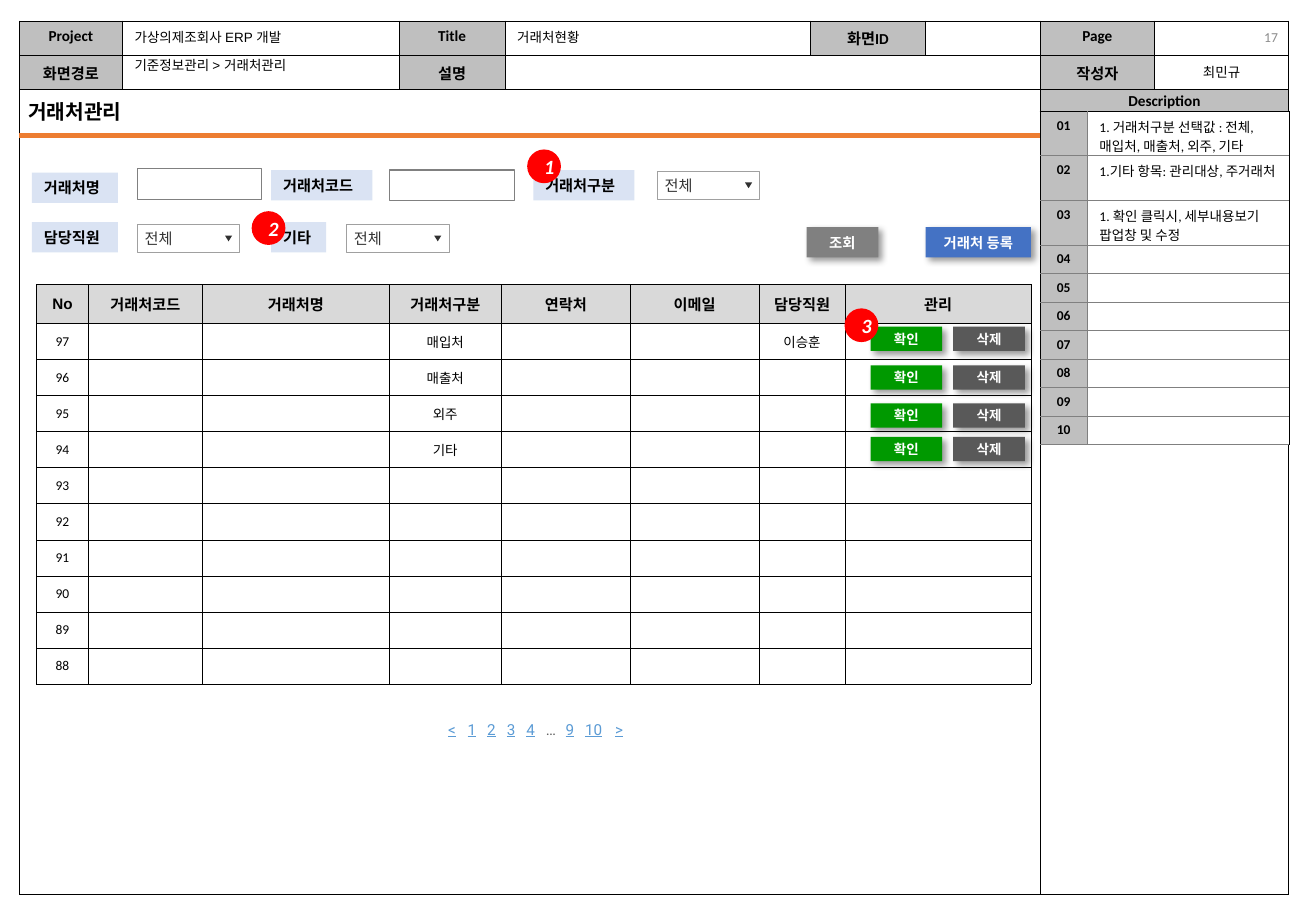
from dataclasses import dataclass, replace
from typing import NamedTuple, Optional

from lxml import etree
from pptx import Presentation
from pptx import table as tb
from pptx import util as u
from pptx.dml.color import RGBColor
from pptx.enum import shapes, text
from pptx.oxml import ns

Pt = u.Pt
BLACK, WHITE = RGBColor(0, 0, 0), RGBColor(255, 255, 255)
SILVER, HEADER_GRAY = RGBColor(0xBF, 0xBF, 0xBF), RGBColor(0xD9, 0xD9, 0xD9)
GRAY, DARK_GRAY = RGBColor(0x80, 0x80, 0x80), RGBColor(0x59, 0x59, 0x59)
PAGE_GRAY, SELECT_LINE = RGBColor(0x8C, 0x8C, 0x8C), RGBColor(0xA0, 0xA0, 0xA0)
SELECT_TEXT, ARROW = RGBColor(0x33, 0x33, 0x33), RGBColor(0x30, 0x30, 0x30)
ORANGE, RED, GREEN = RGBColor(0xED, 0x7D, 0x31), RGBColor(255, 0, 0), RGBColor(0, 0x99, 0)
LABEL_BLUE, BUTTON_BLUE = RGBColor(0xDA, 0xE3, 0xF3), RGBColor(0x44, 0x72, 0xC4)
LINK_BLUE, ELLIPSIS_GRAY = RGBColor(0x5B, 0x9B, 0xD5), RGBColor(0x5F, 0x5F, 0x5F)

LEFT, CENTER, RIGHT = text.PP_ALIGN.LEFT, text.PP_ALIGN.CENTER, text.PP_ALIGN.RIGHT
TOP, MIDDLE = text.MSO_ANCHOR.TOP, text.MSO_ANCHOR.MIDDLE
RECT, OVAL = shapes.MSO_SHAPE.RECTANGLE, shapes.MSO_SHAPE.OVAL


@dataclass(frozen=True)
class Style:
    size: float
    font: str = "Arial"
    color: RGBColor = BLACK
    bold: bool = False
    italic: bool = False
    underline: bool = False


class Box(NamedTuple):
    left: float
    top: float
    width: float
    height: float


class Item(NamedTuple):
    caption: str
    box: Box
    style: Style
    fill: Optional[RGBColor] = None


FIELD = Style(8)
HEAD = Style(9, "Calibri", bold=True)
BODY = Style(8, "Calibri")
BODY_BOLD = replace(BODY, bold=True)
LABEL = Style(9, bold=True)
ROW_BUTTON = Style(8, "Roboto", WHITE, True)
BUTTON = replace(ROW_BUTTON, size=8.5)
BADGE = Style(12, "Calibri", WHITE, True, True)
SELECT = Style(9, "Roboto", SELECT_TEXT)
LINK = Style(9, "Roboto", LINK_BLUE, underline=True)

deck = Presentation()
deck.slide_width, deck.slide_height = Pt(780), Pt(540)
slide = deck.slides.add_slide(deck.slide_layouts[6])


def add_run(paragraph, words: str, style: Style) -> None:
    run = paragraph.add_run()
    run.text = words
    font = run.font
    font.size, font.name, font.bold = Pt(style.size), style.font, style.bold
    font.italic, font.underline = style.italic, style.underline
    font.color.rgb = style.color


def write(frame, words: str, style: Style, align=LEFT, anchor=TOP, wrap: bool = False) -> None:
    frame.word_wrap, frame.vertical_anchor = wrap, anchor
    frame.paragraphs[0].alignment = align
    add_run(frame.paragraphs[0], words, style)


def add_text(item: Item, align=LEFT, anchor=TOP) -> None:
    box = slide.shapes.add_textbox(*map(Pt, item.box))
    write(box.text_frame, item.caption, item.style, align, anchor)


def add_block(box: Box, fill: RGBColor, line: Optional[RGBColor] = None, weight: float = 0.5,
              kind=RECT, parent=slide):
    block = parent.shapes.add_shape(kind, *map(Pt, box))
    block.shadow.inherit = False
    block.fill.solid()
    block.fill.fore_color.rgb = fill
    if line is None:
        block.line.fill.background()
    else:
        block.line.color.rgb, block.line.width = line, Pt(weight)
    return block


def add_button(item: Item) -> None:
    button = add_block(item.box, item.fill)
    write(button.text_frame, item.caption, item.style, CENTER, MIDDLE)
    effects = button._element.spPr.find(ns.qn("a:effectLst"))
    shadow = etree.SubElement(effects, ns.qn("a:outerShdw"), blurRad=str(Pt(4)), dist=str(Pt(3)),
                              dir="2700000", algn="tl", rotWithShape="0")
    tone = etree.SubElement(shadow, ns.qn("a:srgbClr"), val=str(BLACK))
    etree.SubElement(tone, ns.qn("a:alpha"), val="40000")


def add_select(left: float, top: float) -> None:
    group = slide.shapes.add_group_shape()
    field = add_block(Box(left, top, 60.8, 16.8), WHITE, SELECT_LINE, parent=group)
    frame = field.text_frame
    write(frame, "전체", SELECT, anchor=MIDDLE, wrap=True)
    frame.margin_left, frame.margin_right = Pt(4.3), Pt(10)
    frame.margin_top = frame.margin_bottom = 0
    x, y = left + 52, top + 6.8
    outline = group.shapes.build_freeform(Pt(x), Pt(y))
    outline.add_line_segments([(Pt(x + 4.2), Pt(y)), (Pt(x + 2.1), Pt(y + 3.4))])
    arrow = outline.convert_to_shape()
    arrow.shadow.inherit = False
    arrow.fill.solid()
    arrow.fill.fore_color.rgb = ARROW
    arrow.line.fill.background()


def add_grid(left: float, top: float, widths: list[float], heights: list[float]) -> tb.Table:
    grid = slide.shapes.add_table(len(heights), len(widths), Pt(left), Pt(top),
                                  Pt(sum(widths)), Pt(sum(heights))).table
    grid.first_row = grid.horz_banding = False
    for column, width in zip(grid.columns, widths):
        column.width = Pt(width)
    for row, height in zip(grid.rows, heights):
        row.height = Pt(height)
    return grid


def set_cell(cell, words: str, style: Style, fill: Optional[RGBColor], weight: float,
             borders: tuple = (BLACK,) * 4, align=CENTER, anchor=TOP) -> None:
    """Border colours run left, right, top, bottom."""
    cell.vertical_anchor = anchor
    if fill is None:
        cell.fill.background()
    else:
        cell.fill.solid()
        cell.fill.fore_color.rgb = fill
    for i, (side, color) in enumerate(zip("LRTB", borders)):
        edge = etree.Element(ns.qn(f"a:ln{side}"), w=str(Pt(weight)))
        paint = etree.SubElement(edge, ns.qn("a:solidFill"))
        etree.SubElement(paint, ns.qn("a:srgbClr"), val=str(color))
        cell._tc.get_or_add_tcPr().insert(i, edge)
    paragraph = cell.text_frame.paragraphs[0]
    paragraph.alignment = align
    if words:
        add_run(paragraph, words, style)
    else:
        etree.SubElement(paragraph._p, ns.qn("a:endParaRPr"), sz=str(int(style.size * 100)))


# Page frame
frame_grid = add_grid(11.5, 12.5, [61, 164, 63, 181, 68, 68, 68, 79.5], [20.3, 20.3, 12.9, 464.3])
frame_words = {(0, 0): "Project", (0, 2): "Title", (0, 4): "화면ID", (0, 6): "Page",
               (1, 0): "화면경로", (1, 2): "설명", (1, 6): "작성자", (1, 7): "최민규",
               (2, 6): "Description"}
for r in range(4):
    for c in range(8):
        author = (r, c) == (1, 7)
        set_cell(frame_grid.cell(r, c), frame_words.get((r, c), ""), BODY if author else HEAD,
                 SILVER if (r, c) in frame_words and not author else None, 0.5)
for first, last in [((1, 3), (1, 5)), ((2, 0), (3, 5)), ((2, 6), (2, 7)), ((3, 6), (3, 7))]:
    frame_grid.cell(*first).merge(frame_grid.cell(*last))
for c in range(8):
    frame_grid.cell(2, c).margin_top, frame_grid.cell(2, c).margin_bottom = Pt(1.5), 0

add_text(Item("17", Box(589, 14.4, 175.7, 15.1), Style(8.1, "Calibri", PAGE_GRAY)), RIGHT, MIDDLE)
for heading in [Item("가상의제조회사 ERP 개발", Box(72.7, 13.7, 108.7, 17.3), FIELD),
                Item("기준정보관리 > 거래처관리", Box(72.7, 30.2, 115.2, 17.3), FIELD),
                Item("거래처현황", Box(299.5, 13.7, 54.7, 17.3), FIELD),
                Item("거래처관리", Box(9.7, 55.4, 74.9, 21.6), Style(12, bold=True))]:
    add_text(heading)

# Description list
notes = ["1. 거래처구분 선택값 : 전체, 매입처, 매출처, 외주, 기타",
         "1.기타 항목: 관리대상, 주거래처",
         "1. 확인 클릭시, 세부내용보기 팝업창 및 수정"] + [""] * 7
note_grid = add_grid(616.5, 66, [28, 119.5], [26.4] * 3 + [16.9] * 7)
for r, note in enumerate(notes):
    upper = GRAY if r else BLACK
    number, detail = note_grid.cell(r, 0), note_grid.cell(r, 1)
    set_cell(number, f"{r + 1:02}", BODY_BOLD, SILVER, 0.5, (BLACK, GRAY, upper, GRAY))
    set_cell(detail, note, BODY, WHITE, 0.5, (GRAY, BLACK, upper, GRAY), LEFT)
    detail.margin_top, detail.margin_bottom = Pt(3), 0

# Title rule
rule = slide.shapes.add_connector(shapes.MSO_CONNECTOR.STRAIGHT, Pt(11.5), Pt(80.4), Pt(616.5), Pt(80.4))
rule.line.color.rgb, rule.line.width = ORANGE, Pt(3)
etree.SubElement(rule._element.spPr, ns.qn("a:effectLst"))

# Client table
client_heads = ["No", "거래처코드", "거래처명", "거래처구분", "연락처", "이메일", "담당직원", "관리"]
client_words = {(1, 3): "매입처", (2, 3): "매출처", (3, 3): "외주", (4, 3): "기타", (1, 6): "이승훈"}
client_words |= {(r, 0): str(98 - r) for r in range(1, 11)}
client_grid = add_grid(21.6, 168.6, [30.8, 67.6, 110.8, 66.4, 76.4, 76.4, 51, 110.2], [23.1] + [21.4] * 10)
for c, client_head in enumerate(client_heads):
    set_cell(client_grid.cell(0, c), client_head, LABEL, HEADER_GRAY, 0.25, anchor=MIDDLE)
    for r in range(1, 11):
        set_cell(client_grid.cell(r, c), client_words.get((r, c), ""), BODY, None, 0.25, anchor=MIDDLE)

# Buttons
for top in (193.7, 216.6, 239.1, 259):
    add_button(Item("확인", Box(516, top, 42.5, 14.4), ROW_BUTTON, GREEN))
    add_button(Item("삭제", Box(565, top, 42.5, 14.4), ROW_BUTTON, DARK_GRAY))
add_button(Item("거래처 등록", Box(548.7, 134.6, 62.4, 18), BUTTON, BUTTON_BLUE))
add_button(Item("조회", Box(478.1, 134.6, 42.5, 18), BUTTON, GRAY))

# Pagination
pager = slide.shapes.add_textbox(Pt(260), Pt(424), Pt(126), Pt(16.6)).text_frame
pager.word_wrap = True
pager.margin_left = pager.margin_right = Pt(5.6)
pager.margin_top = pager.margin_bottom = Pt(2.9)
links = pager.paragraphs[0]
stops = etree.SubElement(links._p.get_or_add_pPr(), ns.qn("a:tabLst"))
for stop in [11.6 * i for i in range(1, 8)] + [99]:
    etree.SubElement(stops, ns.qn("a:tab"), pos=str(Pt(stop)), algn="l")
for i, page in enumerate(["<", "1", "2", "3", "4", "…", "9", "10", ">"]):
    if i:
        add_run(links, "\t", replace(LINK, underline=False))
    add_run(links, page, Style(9, "Roboto", ELLIPSIS_GRAY) if page == "…" else LINK)

# Search filters
for caption, left, top, width in [("거래처명", 18.9, 102.3, 51), ("거래처코드", 160.7, 100.8, 60),
                                  ("거래처구분", 316.1, 100.8, 60), ("담당직원", 18.9, 131.7, 51),
                                  ("기타", 160.7, 131.7, 32.7)]:
    label = add_block(Box(left, top, width, 18), LABEL_BLUE)
    write(label.text_frame, caption, LABEL)
for left, top in [(81.4, 100.1), (231.1, 100.8)]:
    add_block(Box(left, top, 73.8, 18), WHITE, GRAY, 0.75)
for left, top in [(389.6, 101.4), (81.4, 132.9), (205.4, 132.9)]:
    add_select(left, top)

# Numbered badges
for i, (left, top) in enumerate([(312.5, 88.6), (149.2, 125.2), (500.6, 182.8)], 1):
    badge = add_block(Box(left, top, 20, 20), RED, kind=OVAL)
    write(badge.text_frame, str(i), BADGE, CENTER, MIDDLE, True)

deck.save("out.pptx")
